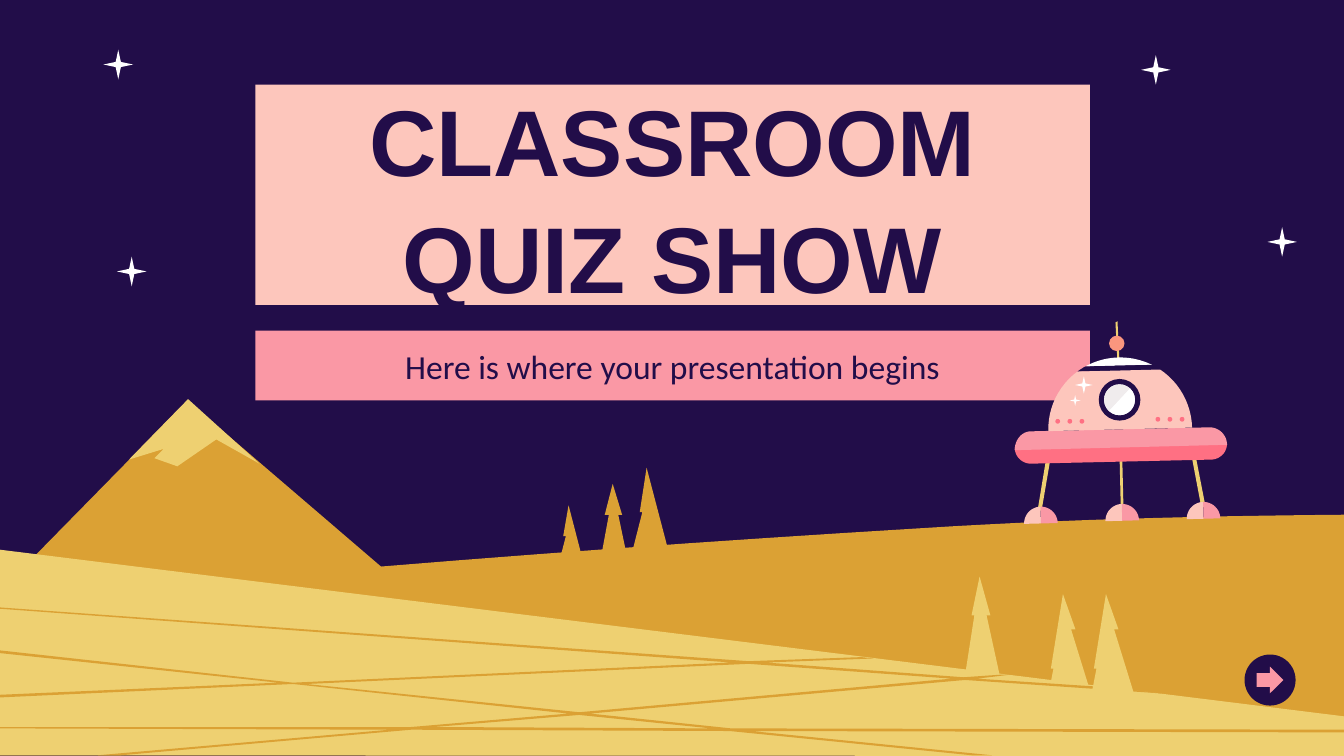
import math

import pptx
import pptx.dml.color
import pptx.enum.shapes
import pptx.enum.text
import pptx.util

SHAPE = pptx.enum.shapes.MSO_SHAPE
CELL = 9144  # one grid cell is 0.01 inch
COLUMNS, ROWS = 1000, 562
NIGHT, SAND, DUNE, WHITE = "220D49", "DBA134", "EED071", "FFFFFF"
BLUSH, PINK, CORAL = "FDC6BC", "FA98A5", "FF7083"

# Tree outlines as shares of the tree's box
SMALL_TREE = [(.41, 0), (.23, .46), (.32, .46), (0, 1), (1, 1)]
LARGE_TREE = [(.41, 0), (.25, .46), (.31, .46), (0, 1), (1, 1)]
NARROW_TREE = [(.45, 0), (.18, .38), (.32, .38), (0, 1), (1, 1), (.64, .38), (.77, .38)]
PALE_TREE = [(.42, 0), (.19, .39), (.27, .39), (0, 1), (1, 1), (.62, .39), (.73, .39)]
LEANING_TREE = [(.34, 0), (.06, .74), (.12, .74), (0, 1), (1, 1), (.53, .35), (.63, .35)]

# Furrows across the dune, as cells below and right of the dune's corner
FURROWS = [
    [(557, 85), (228, 100), (431, 121), (708, 96)],
    [(431, 123), (323, 132), (529, 133)],
    [(0, 43), (557, 83), (641, 80), (650, 81), (570, 84), (717, 95), (745, 93),
     (752, 93), (727, 96), (833, 103), (864, 107), (718, 97), (439, 122), (544, 133),
     (1000, 134), (1000, 136), (559, 135), (738, 153), (723, 153), (543, 135),
     (306, 134), (90, 153), (73, 153), (290, 134), (0, 133), (0, 132), (306, 132),
     (423, 122), (218, 100), (0, 110), (0, 108), (207, 99), (0, 77), (0, 75),
     (218, 99), (544, 84), (0, 44)],
]


def color(value):
    return pptx.dml.color.RGBColor.from_string(value)


def cells(count):
    return pptx.util.Emu(round(count * CELL))


def paint(shape, fill):
    shape.fill.solid()
    shape.fill.fore_color.rgb = color(fill)
    shape.line.fill.background()
    shape.shadow.inherit = False
    return shape


def preset(shapes, kind, box, fill, adjustments=()):
    shape = shapes.add_shape(kind, *map(cells, box))
    for index, value in enumerate(adjustments):
        shape.adjustments[index] = value
    return paint(shape, fill)


def centred(shapes, kind, center, size, fill, adjustments=()):
    box = (center[0] - size / 2, center[1] - size / 2, size, size)
    return preset(shapes, kind, box, fill, adjustments)


def outline(shapes, origin, contours, fill):
    """Draw closed contours, given in cells from the origin, as one shape."""
    placed = [[(cells(origin[0] + x), cells(origin[1] + y)) for x, y in contour]
              for contour in contours]
    builder = shapes.build_freeform(*placed[0][0])
    for number, points in enumerate(placed):
        if number:
            builder.move_to(*points[0])
        builder.add_line_segments(points[1:], close=True)
    return paint(builder.convert_to_shape(), fill)


def arc(center, radius_x, radius_y, start, end, steps=12):
    angles = [math.radians(start + (end - start) * i / steps) for i in range(steps + 1)]
    return [(center[0] + radius_x * math.cos(angle), center[1] + radius_y * math.sin(angle))
            for angle in angles]


def bezier(points, steps=12):
    return [tuple(sum(math.comb(3, k) * (1 - t) ** (3 - k) * t ** k * points[k][axis]
                      for k in range(4)) for axis in (0, 1))
            for t in (i / steps for i in range(steps + 1))]


def add_tree(shapes, box, shares, fill):
    left, top, width, height = box
    points = [(x * width, y * height) for x, y in shares]
    outline(shapes, (left, top), [points], fill)


def add_landscape(shapes, box):
    left, top, width, height = box
    # Far hill with its trees
    ridge = (bezier([(1000, 383), (883, 384), (780, 387), (686, 393)])
             + bezier([(686, 393), (454, 407), (225, 425), (0, 447)]))
    outline(shapes, (left, top), [ridge + [(0, height), (width, height)]], SAND)
    for tree_box, shares in [((414, 376, 22, 50), SMALL_TREE),
                             ((468, 348, 32, 72), LARGE_TREE),
                             ((446, 360, 22, 61), NARROW_TREE)]:
        add_tree(shapes, tree_box, shares, SAND)
    # Mountain, near trees and dune
    preset(shapes, SHAPE.ISOSCELES_TRIANGLE, (left, top + 298, 305, 142), SAND, [.457])
    near_trees = [((780, 442, 32, 75), LEANING_TREE), ((718, 429, 26, 74), PALE_TREE)]
    for tree_box, shares in near_trees:
        add_tree(shapes, tree_box, shares, DUNE)
    outline(shapes, (left, top + 409),
            [[(0, 0), (width, 124), (width, 153.5), (0, 153)]], DUNE)
    outline(shapes, (left, top + 409), FURROWS, SAND)
    # Snow cap
    outline(shapes, (left + 96, top + 297),
            [[(44, 0), (0, 45), (26, 37), (19, 44), (36, 50), (65, 30), (97, 48)]], DUNE)
    # Night sky
    for center in [(88, 48), (954, 180), (98, 202), (860, 52)]:
        centred(shapes, SHAPE.STAR_4_POINT, center, 22, WHITE, [.125])
    add_tree(shapes, (812, 442, 32, 75), LEANING_TREE, DUNE)


def add_banner(shapes, box, lines, fill, font_format, spacing):
    shape = paint(shapes.add_textbox(*map(cells, box)), fill)
    frame = shape.text_frame
    settings = {"word_wrap": True, "vertical_anchor": pptx.enum.text.MSO_ANCHOR.MIDDLE}
    settings.update({f"margin_{side}": cells(10) for side in ("left", "top", "right", "bottom")})
    for name, value in settings.items():
        setattr(frame, name, value)
    paragraph = frame.paragraphs[0]
    paragraph.alignment = pptx.enum.text.PP_ALIGN.CENTER
    paragraph.line_spacing = spacing
    for number, line in enumerate(lines):
        if number:
            paragraph.add_line_break()
        run = paragraph.add_run()
        run.text = line
        run.font.color.rgb = color(NIGHT)
        for name, value in font_format.items():
            setattr(run.font, name, value)


def add_next_button(shapes, box):
    group = shapes.add_group_shape().shapes
    left, top, size = box
    center = (left + size / 2, top + size / 2)
    centred(group, SHAPE.OVAL, center, size, NIGHT)
    centred(group, SHAPE.RIGHT_ARROW, center, 20, PINK, [.513, .507])


def add_saucer(shapes, origin):
    group = shapes.add_group_shape().shapes

    def part(points, fill):
        outline(group, origin, [points], fill)

    def spot(kind, x, y, size, fill, adjustments=()):
        centred(group, kind, (origin[0] + x, origin[1] + y), size, fill, adjustments)

    # Antenna, legs and two-tone feet
    part([(75, 1), (76.5, 0), (78, 30), (76.5, 31)], DUNE)
    for leg in [[(134, 97), (131, 97), (139, 139), (142, 138)],
                [(24, 99), (17, 141), (20, 141), (27, 100)],
                [(78, 98), (79, 140), (81, 140), (80, 98)]]:
        part(leg, DUNE)
    for foot in [(140.5, 147), (19.5, 150.5), (80, 148.5)]:
        for start, fill in [(178.6, BLUSH), (268.6, PINK)]:
            part(arc(foot, 12.5, 12.5, start, start + 90) + [foot], fill)
    # Rim
    part(arc((12, 94), 12, 12, 180, 90) + arc((146, 91), 12, 12, 90, 0), CORAL)
    part(arc((12, 96), 12, 14, 180, 270) + arc((145, 92), 13, 13, 270, 360), PINK)
    # Dome slices, mirrored about the tilted axis
    axis, center, radius = 268.6, (78.5, 80.5), 53.5
    for low, high, fill in [(241, axis, WHITE), (233.5, 241, NIGHT), (178.6, 233.5, BLUSH)]:
        part(arc(center, radius, radius, low, high)
             + arc(center, radius, radius, 2 * axis - high, 2 * axis - low), fill)
    # Porthole
    window = (78, 58.5)
    for size, fill in [(31, NIGHT), (23, WHITE)]:
        spot(SHAPE.OVAL, *window, size, fill)
    for start, fill in [(133, "F0ECED"), (313, WHITE)]:
        part(arc(window, 11.5, 11.5, start, start + 180), fill)
    # Rivets, antenna ball and sparkles
    for first, y in [(32, 74.5), (106.5, 73)]:
        for step in range(3):
            spot(SHAPE.OVAL, first + 9 * step, y, 3.5, CORAL)
    spot(SHAPE.OVAL, 76, 16.5, 11.5, "FA967E")
    for x, y, size in [(51.5, 47.5, 13), (45, 59, 8)]:
        spot(SHAPE.STAR_4_POINT, x, y, size, WHITE, [.125])


def main():
    presentation = pptx.Presentation()
    presentation.slide_width, presentation.slide_height = cells(COLUMNS), cells(ROWS + .5)
    slide = presentation.slides.add_slide(presentation.slide_layouts[6])
    slide.background.fill.solid()
    slide.background.fill.fore_color.rgb = color(NIGHT)
    shapes = slide.shapes

    add_landscape(shapes, (0, 0, COLUMNS, ROWS))
    add_banner(shapes, (190, 246, 621, 52), ["Here is where your presentation begins"], PINK,
               {"name": "Calibri", "size": pptx.util.Pt(18)}, 1)
    add_banner(shapes, (190, 63, 621, 164), ["CLASSROOM", "QUIZ SHOW"], BLUSH,
               {"name": "Arial", "size": pptx.util.Pt(50), "bold": True}, 1.05)
    add_next_button(shapes, (926, 487, 38))
    add_saucer(shapes, (755, 239))
    presentation.save("out.pptx")


if __name__ == "__main__":
    main()
